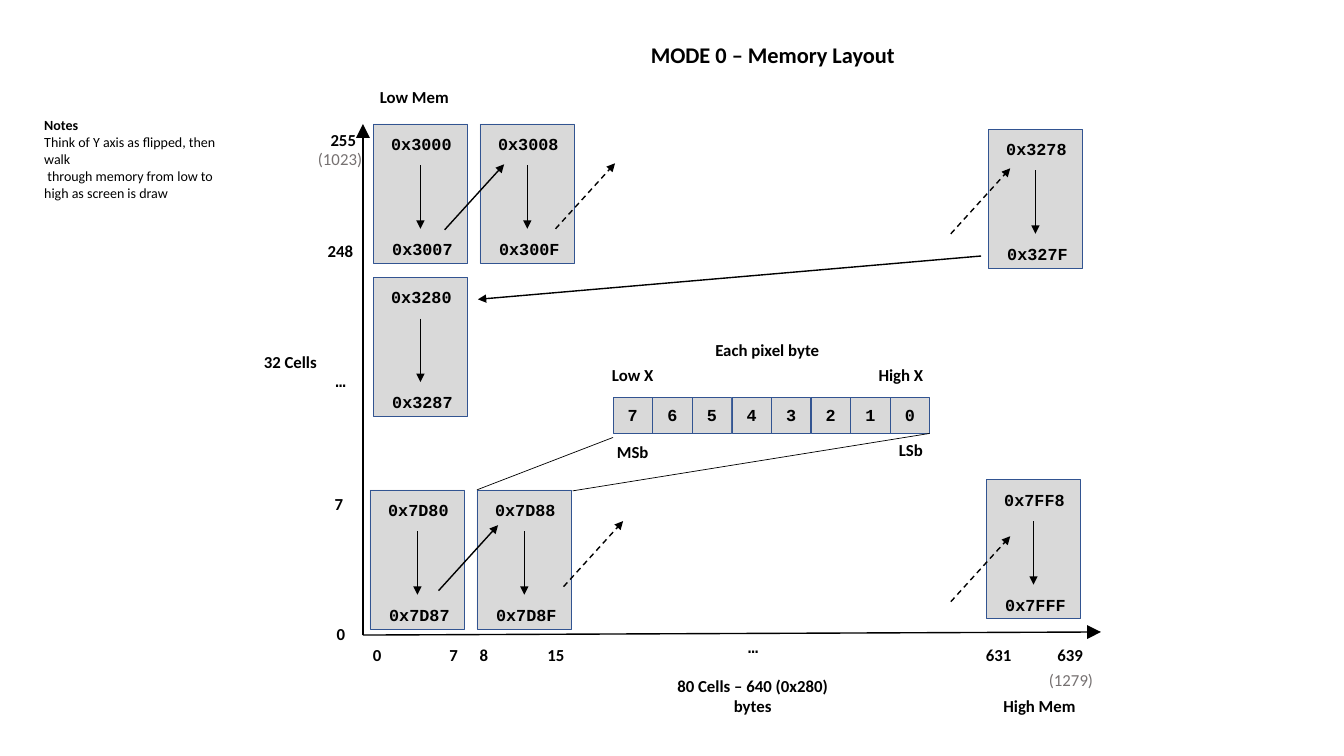
from lxml import etree
from pptx import Presentation
from pptx.dml.color import RGBColor
from pptx.enum.dml import MSO_LINE
from pptx.enum.shapes import MSO_CONNECTOR, MSO_SHAPE
from pptx.enum.text import MSO_ANCHOR, PP_ALIGN
from pptx.oxml.ns import qn
from pptx.util import Inches, Pt

LEFT, CENTER, RIGHT = PP_ALIGN.LEFT, PP_ALIGN.CENTER, PP_ALIGN.RIGHT
RECT, STRAIGHT = MSO_SHAPE.RECTANGLE, MSO_CONNECTOR.STRAIGHT
MIDDLE, DASH = MSO_ANCHOR.MIDDLE, MSO_LINE.DASH
BLACK, GRAY, CELL_FILL, CELL_EDGE = "000000", "767171", "D9D9D9", "325491"
SANS, MONO = "Calibri", "Courier New"
BLOCK_W, BLOCK_H, LABEL_H = 0.94, 1.38, 0.3


def color(hex_string):
    return RGBColor.from_string(hex_string)


class MemoryMap:
    def __init__(self, slide):
        self.shapes = slide.shapes

    def run(self, paragraph, text, size=12, font=SANS, ink=BLACK, bold=True):
        run = paragraph.add_run()
        run.text = text
        run.font.size = Pt(size)
        run.font.name = font
        run.font.bold = bold
        run.font.color.rgb = color(ink)

    def label(self, text, x, y, w, h=LABEL_H, align=CENTER, **style):
        box = self.shapes.add_textbox(Inches(x), Inches(y), Inches(w), Inches(h))
        box.text_frame.word_wrap = True
        paragraph = box.text_frame.paragraphs[0]
        paragraph.alignment = align
        self.run(paragraph, text, **style)

    def notes(self, lines, x, y, w, h):
        frame = self.shapes.add_textbox(Inches(x), Inches(y), Inches(w), Inches(h)).text_frame
        frame.word_wrap = False
        for i, line in enumerate(lines):
            paragraph = frame.add_paragraph() if i else frame.paragraphs[0]
            paragraph.alignment = LEFT
            self.run(paragraph, line, size=10, bold=i == 0)

    def rect(self, x, y, w, h):
        cell = self.shapes.add_shape(RECT, Inches(x), Inches(y), Inches(w), Inches(h))
        cell.shadow.inherit = False
        cell.fill.solid()
        cell.fill.fore_color.rgb = color(CELL_FILL)
        cell.line.color.rgb = color(CELL_EDGE)
        cell.line.width = Pt(0.5)
        return cell

    def line(self, start, end, width=1, dashed=False, head="med"):
        link = self.shapes.add_connector(STRAIGHT, *map(Inches, start + end))
        link.line.color.rgb = color(BLACK)
        link.line.width = Pt(width)
        if dashed:
            link.line.dash_style = DASH
        if head:
            etree.SubElement(link.line._get_or_add_ln(), qn("a:tailEnd"),
                             type="triangle", w=head, len=head)
        etree.SubElement(link._element.spPr, qn("a:effectLst"))

    def block(self, first, last, x, y):
        """An 8-byte cell, from its first address down to its last."""
        self.rect(x, y, BLOCK_W, BLOCK_H)
        self.label(first, x + 0.01, y + 0.05, BLOCK_W, font=MONO)
        self.label(last, x + 0.02, y + 1.09, BLOCK_W, font=MONO)
        self.line((x + 0.47, y + 0.41), (x + 0.47, y + 1.04))

    def pixel(self, bit, x, y, w, h):
        cell = self.rect(x, y, w, h)
        cell.text_frame.vertical_anchor = MIDDLE
        paragraph = cell.text_frame.paragraphs[0]
        paragraph.alignment = CENTER
        self.run(paragraph, bit, font=MONO)


def main():
    prs = Presentation()
    prs.slide_width, prs.slide_height = Inches(13.33), Inches(7.5)
    memory = MemoryMap(prs.slides.add_slide(prs.slide_layouts[6]))

    # Title and notes
    memory.label("MODE 0 – Memory Layout", 6.27, 0.36, 2.79, 0.37, size=16)
    memory.notes(["Notes", "Think of Y axis as flipped, then walk",
                  " through memory from low to", "high as screen is draw"],
                 0.34, 1.11, 2.11, 1.21)

    # Axes
    origin = (3.6, 6.3)
    for tip in [(3.6, 1.23), (10.92, 6.27)]:
        memory.line(origin, tip, head="lg")

    # Memory blocks
    for first, last, x, y in [
        ("0x3000", "0x3007", 3.7, 1.23), ("0x3008", "0x300F", 4.76, 1.23),
        ("0x3278", "0x327F", 9.8, 1.28), ("0x3280", "0x3287", 3.7, 2.75),
        ("0x7D80", "0x7D87", 3.67, 4.86), ("0x7D88", "0x7D8F", 4.73, 4.86),
        ("0x7FF8", "0x7FFF", 9.78, 4.76),
    ]:
        memory.block(first, last, x, y)

    # Steps from one block to the next, dashed where blocks are skipped
    for x, y, dashed in [
        (4.41, 2.28, False), (4.35, 5.86, False), (5.51, 2.27, True),
        (5.59, 5.82, True), (9.43, 2.32, True), (9.43, 5.97, True),
    ]:
        memory.line((x, y), (x + 0.59, y - 0.65), dashed=dashed)
    memory.line((9.73, 2.54), (4.74, 2.97))

    # Y axis labels
    for text, x, y, w, align in [
        ("255", 3.16, 1.24, 0.47, RIGHT), ("248", 2.85, 2.34, 0.75, RIGHT),
        ("32 Cells", 2.36, 3.44, 1.04, CENTER),
        ("7", 3.22, 4.85, 0.27, LEFT), ("0", 3.24, 6.14, 0.27, LEFT),
    ]:
        memory.label(text, x, y, w, align=align)

    # X axis labels
    for text, x, w, align in [
        ("0", 3.6, 0.27, LEFT), ("7", 4.36, 0.27, LEFT), ("8", 4.66, 0.27, LEFT),
        ("15", 5.33, 0.38, LEFT), ("631", 9.66, 0.47, RIGHT), ("639", 10.37, 0.47, RIGHT),
    ]:
        memory.label(text, x, 6.35, w, align=align)
    memory.label("80 Cells – 640 (0x280) bytes", 6.56, 6.65, 1.81, 0.5)

    # Screen coordinates and gaps
    for text, x, y in [("(1023)", 2.94, 1.43), ("(1279)", 10.19, 6.6)]:
        memory.label(text, x, y, 0.75, align=RIGHT, ink=GRAY, bold=False)
    for x, y in [(2.91, 3.63), (7, 6.27)]:
        memory.label("…", x, y, 0.94, font=MONO)

    # Ends of memory
    memory.label("Low Mem", 3.64, 0.81, 0.94)
    memory.label("High Mem", 9.84, 6.85, 0.94)

    # Pixel byte, enlarged from one block
    byte_left, byte_top, pixel_w, pixel_h = 6.08, 3.94, 0.39, 0.36
    pitch = (8.83 - byte_left) / 7
    for i, bit in enumerate("76543210"):
        memory.pixel(bit, byte_left + i * pitch, byte_top, pixel_w, pixel_h)
    for text, x, y, w in [
        ("Each pixel byte", 6.97, 3.32, 1.28), ("Low X", 5.95, 3.57, 0.65),
        ("High X", 8.59, 3.57, 0.69), ("MSb", 5.96, 4.33, 0.63), ("LSb", 8.72, 4.31, 0.63),
    ]:
        memory.label(text, x, y, w)
    for corner, byte_end in [((4.73, 4.86), (6.08, 4.34)), ((5.68, 4.87), (9.22, 4.3))]:
        memory.line(corner, byte_end, width=0.5, head=None)

    prs.save("out.pptx")


if __name__ == "__main__":
    main()
